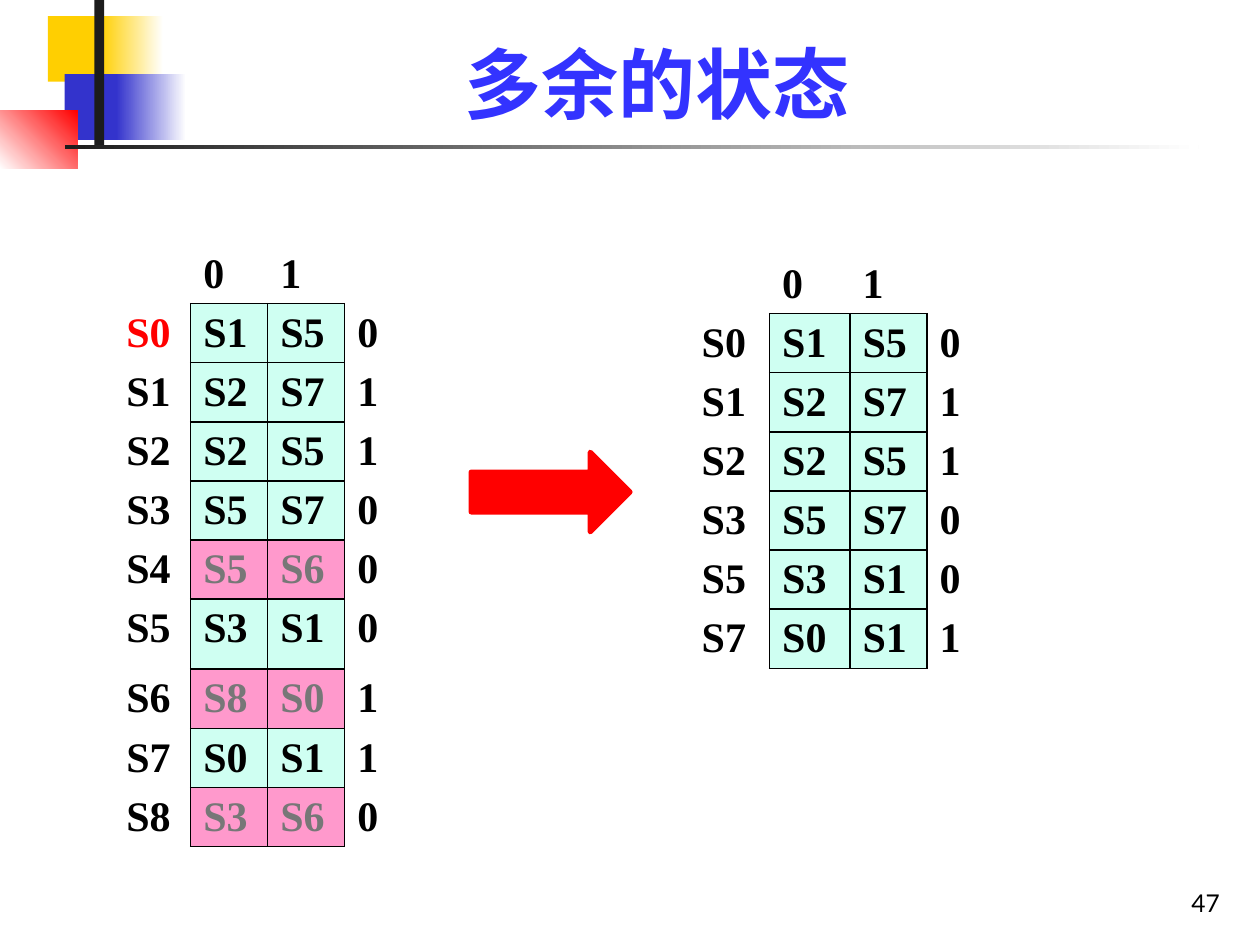
import dataclasses

import lxml.etree
import pptx
import pptx.dml.color
import pptx.enum.shapes
import pptx.enum.text
import pptx.oxml.ns
import pptx.util

Pt = pptx.util.Pt
ALIGN = pptx.enum.text.PP_ALIGN
SHAPE = pptx.enum.shapes.MSO_SHAPE


@dataclasses.dataclass(frozen=True)
class Theme:
    serif: str = "Times New Roman"
    sans: str = "Lato"
    title_size: float = 44
    table_size: float = 24
    number_size: float = 14
    title: str = "3333FF"
    text: str = "000000"
    muted: str = "777777"
    red: str = "FF0000"
    yellow: str = "FFCF01"
    blue: str = "3333CC"
    dark: str = "1C1C1C"
    white: str = "FFFFFF"
    kept: str = "CFFFF2"
    redundant: str = "FF99CC"


def rgb(value):
    return pptx.dml.color.RGBColor.from_string(value)


class SlideBuilder:
    def __init__(self, deck, theme):
        self.theme = theme
        self.slide = deck.slides.add_slide(deck.slide_layouts[5])

    def style(self, para, name, size, color, bold=False, align=ALIGN.LEFT):
        para.alignment = align
        font = para.font
        font.name, font.size, font.bold = name, Pt(size), bold
        font.color.rgb = rgb(color)

    def place_text(self, box, area, text):
        box.left, box.top, box.width, box.height = map(Pt, area)
        frame = box.text_frame
        frame.text = text
        frame.word_wrap = True
        frame.auto_size = pptx.enum.text.MSO_AUTO_SIZE.NONE
        frame.vertical_anchor = pptx.enum.text.MSO_ANCHOR.BOTTOM
        return frame.paragraphs[0]

    def title(self, area, text):
        para = self.place_text(self.slide.shapes.title, area, text)
        self.style(para, self.theme.serif, self.theme.title_size,
                   self.theme.title, True, ALIGN.CENTER)

    def page_number(self, area, text):
        box = self.slide.shapes.add_textbox(*map(Pt, area))
        para = self.place_text(box, area, text)
        self.style(para, self.theme.sans, self.theme.number_size,
                   self.theme.text, align=ALIGN.RIGHT)

    def shape(self, area, start, end=None, angle=0, kind=SHAPE.RECTANGLE, line_width=0):
        """Solid in the start colour, or a gradient when an end colour is given."""
        shape = self.slide.shapes.add_shape(kind, *map(Pt, area))
        shape.shadow.inherit = False
        if end:
            shape.fill.gradient()
            shape.fill.gradient_angle = angle
            for stop, color, position in zip(shape.fill.gradient_stops, (start, end), (0, 1)):
                stop.color.rgb = rgb(color)
                stop.position = position
        else:
            shape.fill.solid()
            shape.fill.fore_color.rgb = rgb(start)
        if line_width:
            shape.line.color.rgb = rgb(start)
            shape.line.width = Pt(line_width)
        else:
            shape.line.fill.background()

    def border(self, cell, side, visible):
        properties = cell._tc.get_or_add_tcPr()
        qn = pptx.oxml.ns.qn
        line = lxml.etree.SubElement(properties, qn("a:ln" + side), w=str(Pt(1)))
        if visible:
            fill = lxml.etree.SubElement(line, qn("a:solidFill"))
            lxml.etree.SubElement(fill, qn("a:srgbClr"), val=self.theme.text)
        else:
            lxml.etree.SubElement(line, qn("a:noFill"))

    def state_table(self, left, top, widths, heights, states, redundant=(), marked=()):
        """Columns: state, next state on 0, next state on 1, output."""
        theme = self.theme
        rows = [("", "0", "1", "")] + [tuple(state.split()) for state in states]
        frame = self.slide.shapes.add_table(
            len(rows), 4, Pt(left), Pt(top), Pt(sum(widths)), Pt(sum(heights)))
        table = frame.table
        table.first_row = table.horz_banding = False
        for column, width in zip(table.columns, widths):
            column.width = Pt(width)
        for row, height in zip(table.rows, heights):
            row.height = Pt(height)

        def framed(r, c):
            return 0 < r < len(rows) and c in (1, 2)

        neighbours = {"L": (0, -1), "R": (0, 1), "T": (-1, 0), "B": (1, 0)}
        for r, row in enumerate(rows):
            for c, text in enumerate(row):
                cell = table.cell(r, c)
                inside = framed(r, c)
                for side, (down, across) in neighbours.items():
                    self.border(cell, side, inside or framed(r + down, c + across))
                dropped = inside and row[0] in redundant
                if inside:
                    cell.fill.solid()
                    cell.fill.fore_color.rgb = rgb(theme.redundant if dropped else theme.kept)
                else:
                    cell.fill.background()
                if text:
                    color = theme.muted if dropped else theme.text
                    if c == 0 and text in marked:
                        color = theme.red
                    cell.text = text
                    self.style(cell.text_frame.paragraphs[0], theme.serif,
                               theme.table_size, color, True)


def main():
    theme = Theme()
    deck = pptx.Presentation()
    deck.slide_width, deck.slide_height = Pt(720), Pt(540)
    page = SlideBuilder(deck, theme)

    # Corner ornament and rule under the title
    page.shape((27.4, 9.2, 48, 37.5), theme.yellow)
    page.shape((57.4, 9.2, 36, 37.5), theme.yellow, theme.white)
    page.shape((37, 42.4, 46, 37.5), theme.blue)
    page.shape((66.4, 42.4, 40, 37.5), theme.blue, theme.white)
    page.shape((0, 63, 44.2, 33.4), theme.white, theme.red, angle=45)
    page.shape((54, 0, 5.5, 83), theme.dark)
    page.shape((37, 82.8, 648, 2.2), theme.dark, theme.white)

    # Title and page number
    page.title((90.7, 16.6, 569.5, 60.5), "多余的状态")
    page.page_number((554.4, 491.8, 149.8, 36), "47")

    # All states, with the redundant ones highlighted
    row_height = 33.8
    states = ["S0 S1 S5 0", "S1 S2 S7 1", "S2 S2 S5 1", "S3 S5 S7 0", "S4 S5 S6 0",
              "S5 S3 S1 0", "S6 S8 S0 1", "S7 S0 S1 1", "S8 S3 S6 0"]
    redundant = ("S4", "S6", "S8")
    heights = [row_height] * 6 + [40] + [row_height] * 3
    page.state_table(65, 139.7, [44] * 4, heights, states, redundant, marked=("S0",))

    # The states that remain
    remaining = [state for state in states if state[:2] not in redundant]
    page.state_table(393.8, 145.4, [46, 46, 44, 48], [row_height] * 7, remaining)

    # Arrow from the full table to the reduced one
    page.shape((269.3, 258.5, 90.7, 45.4), theme.red, kind=SHAPE.RIGHT_ARROW, line_width=3)

    deck.save("out.pptx")


if __name__ == "__main__":
    main()
